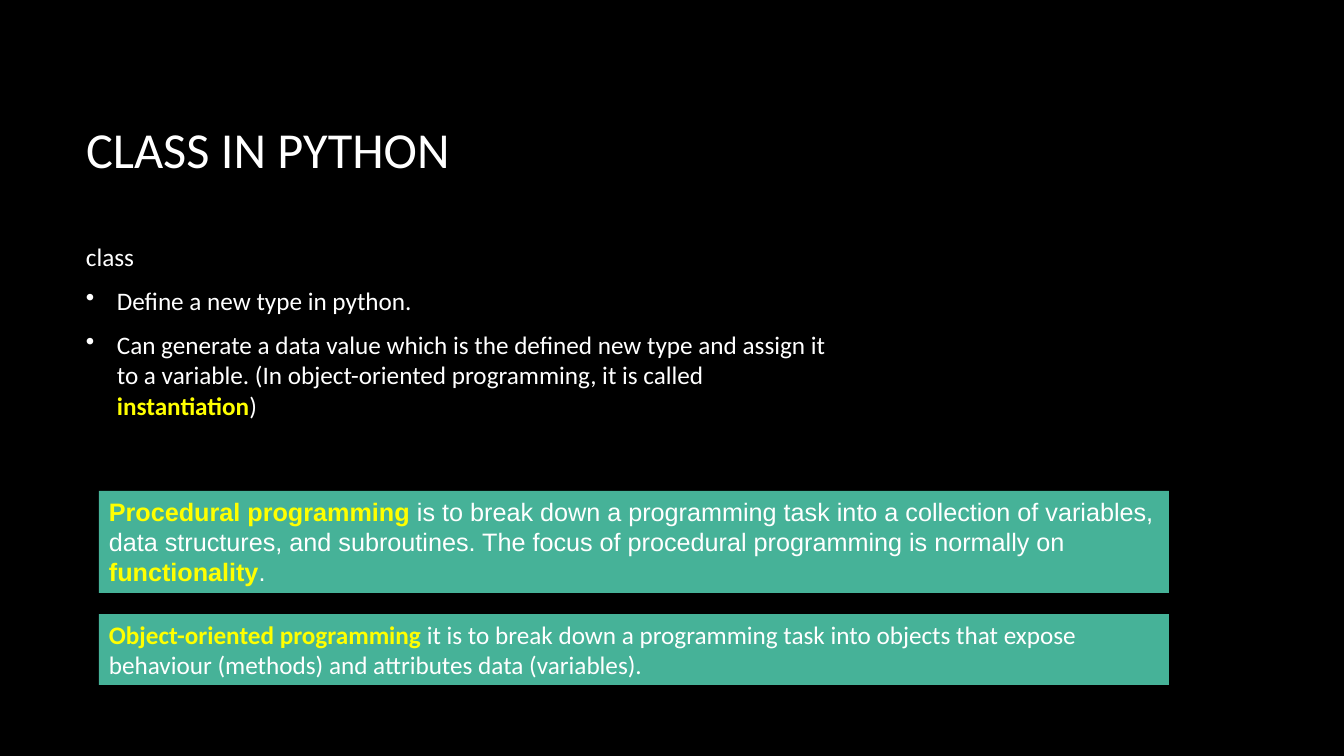
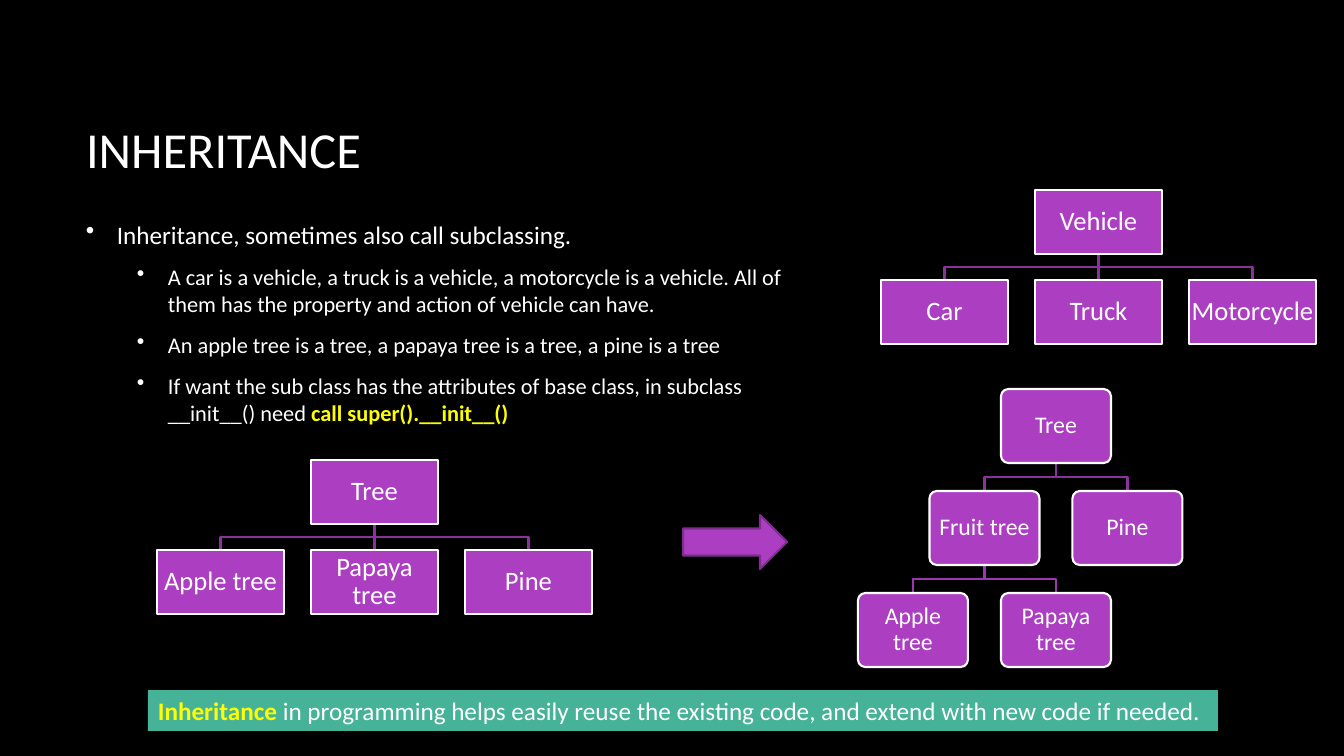
"""Build two slides on classes and inheritance in Python."""
from dataclasses import dataclass

from lxml import etree
from pptx import Presentation
from pptx.dml.color import RGBColor
from pptx.enum.shapes import MSO_CONNECTOR, MSO_SHAPE
from pptx.enum.text import MSO_ANCHOR, MSO_AUTO_SIZE, PP_ALIGN
from pptx.oxml.ns import qn
from pptx.util import Emu, Pt

RECT, ROUND = MSO_SHAPE.RECTANGLE, MSO_SHAPE.ROUNDED_RECTANGLE
ARROW, LINE = MSO_SHAPE.RIGHT_ARROW, MSO_CONNECTOR.STRAIGHT
LEFT, CENTER = PP_ALIGN.LEFT, PP_ALIGN.CENTER
TOP, MIDDLE = MSO_ANCHOR.TOP, MSO_ANCHOR.MIDDLE
GROW = MSO_AUTO_SIZE.SHAPE_TO_FIT_TEXT
SCALE = 914400 / 100.8
TITLE_ONLY = 5


@dataclass(frozen=True)
class Theme:
    """Colours, fonts and type sizes of the deck."""
    back: str = "000000"
    ink: str = "FFFFFF"
    hot: str = "FFFF00"
    band: str = "46B298"
    node: str = "AC3EC1"
    edge: str = "7F2E8F"
    links: tuple = ("8A329B", "9C38AF")
    font: str = "Calibri"
    plain: str = "Arial"
    title: int = 36
    text: int = 18
    sub: int = 16
    gap: int = 10
    rule: float = 1.5


@dataclass(frozen=True)
class Look:
    """Node shape, sizes and steps of a tree."""
    form: int
    width: int
    height: int
    step: int
    drop: int
    inset: int
    size: int


THEME = Theme()
SQUARE = Look(RECT, 127, 64, 154, 90, 1, 19)
SOFT = Look(ROUND, 110, 74, 143, 102, 6, 17)


def px(num):
    """Turn pixels into EMU."""
    return Emu(round(num * SCALE))


def area(*box):
    """Turn a pixel box into EMU lengths."""
    return [px(num) for num in box]


def rgb(code):
    """Read a hex colour."""
    return RGBColor.from_string(code)


def write(par, text, size, font=THEME.font):
    """Fill a paragraph, with the parts between stars made hot."""
    for spot, part in enumerate(text.split("*")):
        if part:
            run = par.add_run()
            run.text = part
            run.font.name = font
            run.font.size = Pt(size)
            run.font.bold = bool(spot % 2)
            run.font.color.rgb = rgb(THEME.hot if spot % 2 else THEME.ink)


def stroke(line, code):
    """Set the colour and width of a line."""
    line.color.rgb = rgb(code)
    line.width = Pt(THEME.rule)


def block(slide, form, box, fill, edge=None):
    """Add a flat filled shape."""
    shape = slide.shapes.add_shape(form, *area(*box))
    shape.shadow.inherit = False
    shape.fill.solid()
    shape.fill.fore_color.rgb = rgb(fill)
    if edge:
        stroke(shape.line, edge)
    else:
        shape.line.fill.background()
    return shape


def head(deck, text):
    """Add a dark slide with its title."""
    slide = deck.slides.add_slide(deck.slide_layouts[TITLE_ONLY])
    slide.background.fill.solid()
    slide.background.fill.fore_color.rgb = rgb(THEME.back)
    title = slide.shapes.title
    title.left, title.top, title.width, title.height = area(76, 68, 1117, 160)
    frame = title.text_frame
    frame.vertical_anchor = MIDDLE
    par = frame.paragraphs[0]
    par.alignment = LEFT
    write(par, text, THEME.title)
    return slide


def bullet(par, indent):
    """Give a paragraph a hanging bullet."""
    props = par._p.get_or_add_pPr()
    props.set("marL", str(px(indent)))
    props.set("indent", str(px(-31)))
    etree.SubElement(props, qn("a:buChar")).set("char", "•")


def body(slide, box, items):
    """Add text whose items are level and wording; level 0 has no bullet."""
    frame = slide.shapes.add_textbox(*area(*box)).text_frame
    frame.word_wrap = True
    for spot, (level, text) in enumerate(items):
        par = frame.add_paragraph() if spot else frame.paragraphs[0]
        par.space_after = Pt(THEME.gap)
        if level:
            par.level = level - 1
            bullet(par, (31, 82)[level - 1])
        write(par, text, THEME.sub if level == 2 else THEME.text)


def band(slide, box, text, font=THEME.font):
    """Add a coloured note band."""
    frame = block(slide, RECT, box, THEME.band).text_frame
    frame.word_wrap = True
    frame.auto_size = GROW
    frame.vertical_anchor = TOP
    par = frame.paragraphs[0]
    par.alignment = LEFT
    write(par, text, THEME.text, font)


def link(slide, start, end, code):
    """Join two points by a straight or a stepped line."""
    (left, top), (right, low) = area(*start), area(*end)
    if left == right:
        line = slide.shapes.add_connector(LINE, left, top, right, low)
        etree.SubElement(line._element.spPr, qn("a:effectLst"))
    else:
        mid = (top + low) // 2
        pen = slide.shapes.build_freeform(left, top)
        pen.add_line_segments([(left, mid), (right, mid), (right, low)], close=False)
        line = pen.convert_to_shape()
        line.fill.background()
        line.shadow.inherit = False
    stroke(line.line, code)


def node(slide, look, spot, text):
    """Add one labelled tree node."""
    shape = block(slide, look.form, (*spot, look.width, look.height),
                  THEME.node, THEME.ink)
    if look.form == ROUND:
        shape.adjustments[0] = 0.1
    frame = shape.text_frame
    frame.word_wrap = True
    frame.vertical_anchor = MIDDLE
    frame.margin_left = frame.margin_right = px(look.inset)
    frame.margin_top = frame.margin_bottom = px(look.inset)
    par = frame.paragraphs[0]
    par.alignment = CENTER
    par.line_spacing = 0.9
    write(par, text, look.size)


def tree(slide, left, top, look, nodes):
    """Draw nodes given as wording, column, row and index of the parent."""
    spots = [(left + col * look.step, top + row * look.drop)
             for _, col, row, _ in nodes]
    half = look.width / 2
    for (_, _, row, base), (x, y) in zip(nodes, spots):
        if base is not None:
            over, up = spots[base]
            link(slide, (over + half, up + look.height), (x + half, y),
                 THEME.links[row - 1])
    for (text, *_), spot in zip(nodes, spots):
        node(slide, look, spot, text)


def trio(slide, left, top, root, kids):
    """Draw a root above three kinds of it."""
    nodes = [(root, 1, 0, None)]
    nodes += [(kid, col, 1, 0) for col, kid in enumerate(kids)]
    tree(slide, left, top, SQUARE, nodes)


def classes(deck):
    """Build the slide on classes."""
    slide = head(deck, "CLASS IN PYTHON")
    body(slide, (76, 236, 766, 319), [
        (0, "class"),
        (1, "Define a new type in python."),
        (1, "Can generate a data value which is the defined new type and "
            "assign it to a variable. (In object-oriented programming, it is "
            "called *instantiation*)"),
    ])
    band(slide, (99, 491, 1070, 102),
         "*Procedural programming\u00a0*is to break down a\u00a0programming\u00a0task "
         "into a collection of variables, data structures, and subroutines. "
         "The focus of procedural programming is normally on *functionality*.",
         THEME.plain)
    band(slide, (99, 614, 1070, 71),
         "*Object-oriented\u00a0programming\u00a0*it is to break down "
         "a\u00a0programming\u00a0task into objects that expose behaviour "
         "(methods) and attributes data (variables).")


def inherit(deck):
    """Build the slide on inheritance."""
    slide = head(deck, "INHERITANCE")
    body(slide, (76, 214, 730, 229), [
        (1, "Inheritance, sometimes also call subclassing."),
        (2, "A car is a vehicle, a truck is a vehicle, a motorcycle is a "
            "vehicle. All of them has the property and action of vehicle can "
            "have."),
        (2, "An apple tree is a tree, a papaya tree is a tree, a pine is a tree"),
        (2, "If want the sub class has the attributes of base class, in "
            "subclass __init__() need *call super().__init__()*"),
    ])
    trio(slide, 881, 190, "Vehicle", ("Car", "Truck", "Motorcycle"))
    trio(slide, 157, 460, "Tree", ("Apple tree", "Papaya tree", "Pine"))
    tree(slide, 858, 389, SOFT, [
        ("Tree", 1, 0, None),
        ("Fruit tree", 0.5, 1, 0),
        ("Pine", 1.5, 1, 0),
        ("Apple tree", 0, 2, 1),
        ("Papaya tree", 1, 2, 1),
    ])
    block(slide, ARROW, (683, 515, 104, 54), THEME.node, THEME.edge)
    band(slide, (148, 690, 1070, 41),
         "*Inheritance *in programming helps easily reuse the existing code, "
         "and extend with new code if needed.")


def main():
    """Build and save the deck."""
    deck = Presentation()
    deck.slide_width, deck.slide_height = area(1344, 756)
    classes(deck)
    inherit(deck)
    deck.save("out.pptx")


main()
